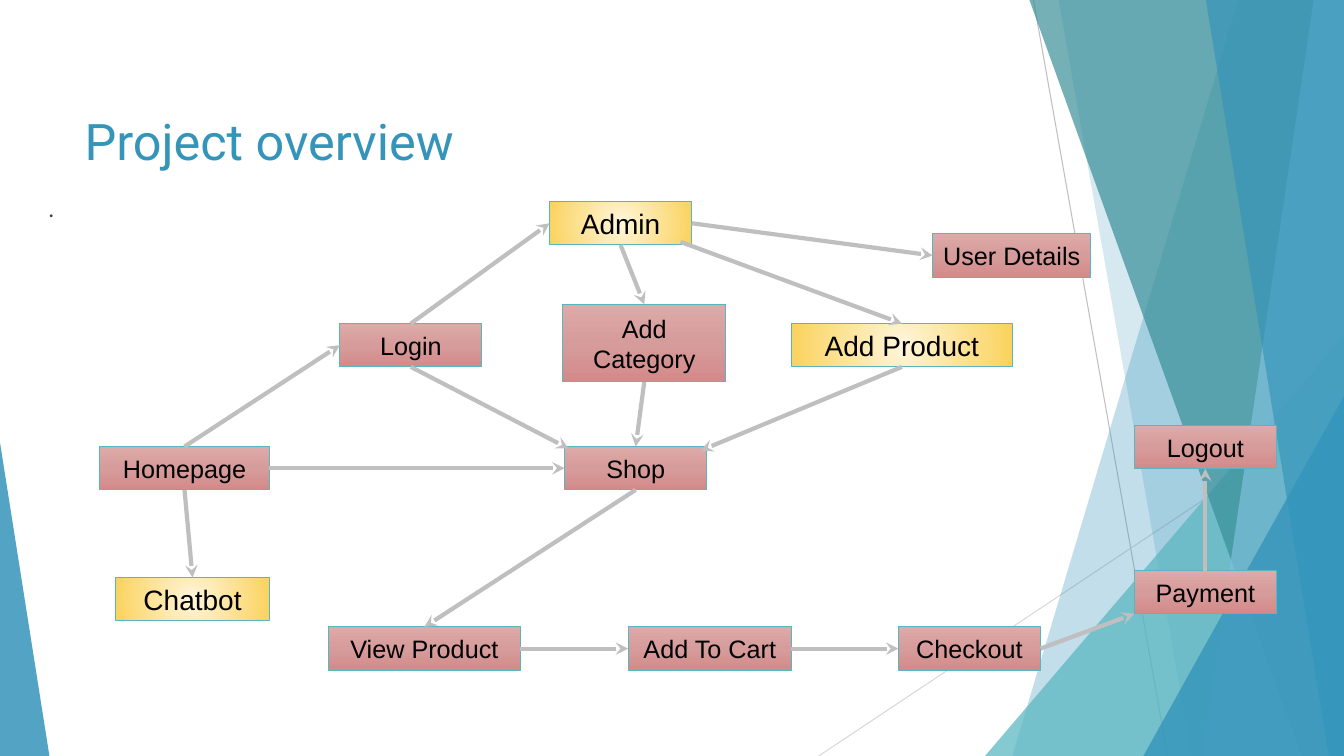
"""Build the project overview flow slide."""
import pptx
import pptx.dml.color
import pptx.enum.shapes
import pptx.enum.text
import pptx.oxml
import pptx.oxml.ns
import pptx.util
from pptx.util import Inches

COLORS = {
    "blue": "3494BA", "teal": "58B6C0", "deep": "398F98", "sky": "7EC0DB",
    "text": "000000", "body": "3F3F3F", "arrow": "BFBFBF", "pale": "D8D8D8",
}
GRADIENTS = {
    "page": ([(0, "DDAAA9"), (50, "D69C9B"), (100, "D38A89")],
             '<a:lin ang="5400000" scaled="0"/>'),
    "key": ([(0, "FFF6DB"), (100, "FAD25C")],
            '<a:path path="circle"><a:fillToRect l="50000" t="50000" r="50000" b="50000"/></a:path>'),
}
TOP, LEFT, BOTTOM, RIGHT = range(4)
H = 0.43
FACETS = [
    ([(12.28, 0), (13.33, 0), (13.33, 7.5), (10.04, 7.5)], "blue", 30),
    ([(10.5, 0), (13.33, 0), (13.33, 7.5), (11.82, 7.5)], "blue", 20),
    (((9.77, 3.33, 3.56, 4.17), 1), "teal", 72),
    ([(10.21, 0), (13.33, 0), (13.33, 7.5), (12.91, 7.5)], "deep", 70),
    ([(13.03, 0), (13.33, 0), (13.33, 7.5), (11.92, 7.5)], "sky", 70),
    ([(11.96, 0), (13.33, 0), (13.33, 7.5), (13.18, 7.5)], "blue", 65),
    (((11.34, 3.93, 1.99, 3.57), 1), "blue", 80),
    (((0, 4.39, 0.49, 3.11), 0), "blue", 85),
]
NODES = [
    ("Login", 3.37, 3.21, 1.41, H, "page"),
    ("Homepage", 0.99, 4.43, 1.68, H, "page"),
    ("Shop", 5.6, 4.43, 1.41, H, "page"),
    ("User Details", 9.25, 2.32, 1.57, H, "page"),
    ("View Product", 3.26, 6.22, 1.9, H, "page"),
    ("Payment", 11.25, 5.66, 1.41, H, "page"),
    ("Add To Cart", 6.23, 6.22, 1.62, H, "page"),
    ("Checkout", 8.91, 6.22, 1.41, H, "page"),
    ("Admin", 5.45, 2, 1.41, H, "key"),
    ("Add Category", 5.58, 3.02, 1.62, 0.77, "page"),
    ("Add Product", 7.85, 3.21, 2.19, H, "key"),
    ("Logout", 11.25, 4.22, 1.41, H, "page"),
    ("Chatbot", 1.15, 5.73, 1.52, H, "key"),
]
FLOWS = [
    (("Homepage", TOP), ("Login", LEFT)),
    (("Homepage", RIGHT), ("Shop", LEFT)),
    (("Login", TOP), ("Admin", LEFT)),
    (("Admin", BOTTOM), ("Add Category", TOP)),
    ((6.75, 2.4), ("Add Product", TOP)),
    (("Admin", RIGHT), ("User Details", LEFT)),
    (("Login", BOTTOM), (5.64, 4.45)),
    (("Add Category", BOTTOM), ("Shop", TOP)),
    (("Add Product", BOTTOM), (6.95, 4.47)),
    (("Shop", BOTTOM), ("View Product", TOP)),
    (("View Product", RIGHT), ("Add To Cart", LEFT)),
    (("Add To Cart", RIGHT), ("Checkout", LEFT)),
    (("Checkout", RIGHT), (11.25, 6.09)),
    (("Payment", TOP), ("Logout", BOTTOM)),
    (("Homepage", BOTTOM), ("Chatbot", TOP)),
]


def rgb(name):
    """Return a named colour."""
    return pptx.dml.color.RGBColor.from_string(COLORS[name])


def add_xml(parent, body):
    """Append a DrawingML element to a parent and return it."""
    ns = pptx.oxml.ns.nsdecls("a")
    tag, rest = body.split(" ", 1)
    el = pptx.oxml.parse_xml(f"<a:{tag} {ns} {rest}")
    parent.append(el)
    return el


def write(sp, text, size, font, color, align, anchor):
    """Put one formatted paragraph into a shape."""
    tf = sp.text_frame
    tf.word_wrap = True
    tf.vertical_anchor = anchor
    p = tf.paragraphs[0]
    p.alignment = align
    r = p.add_run()
    r.text = text
    fmt = {"size": pptx.util.Pt(size), "name": font}
    for key, value in fmt.items():
        setattr(r.font, key, value)
    r.font.color.rgb = rgb(color)


def add_text(s, text, box, size, color, anchor):
    """Add a left-aligned text box."""
    sp = s.shapes.add_textbox(*map(Inches, box))
    write(sp, text, size, "Roboto", color, pptx.enum.text.PP_ALIGN.LEFT, anchor)


def add_facet(s, outline, color, opacity):
    """Add a translucent triangle or polygon."""
    if isinstance(outline, tuple):
        box, apex = outline
        kind = pptx.enum.shapes.MSO_SHAPE.ISOSCELES_TRIANGLE
        sp = s.shapes.add_shape(kind, *map(Inches, box))
        sp.adjustments[0] = apex
    else:
        points = [(Inches(x), Inches(y)) for x, y in outline]
        fb = s.shapes.build_freeform(*points[0])
        fb.add_line_segments(points[1:], close=True)
        sp = fb.convert_to_shape()
    sp.shadow.inherit = False
    sp.line.fill.background()
    sp.fill.solid()
    sp.fill.fore_color.rgb = rgb(color)
    clr = sp._element.spPr.find(".//" + pptx.oxml.ns.qn("a:srgbClr"))
    add_xml(clr, f'alpha val="{opacity * 1000}"/>')


def add_node(s, text, x, y, w, h, kind):
    """Add a gradient box with a centred label."""
    rect = pptx.enum.shapes.MSO_SHAPE.RECTANGLE
    sp = s.shapes.add_shape(rect, *map(Inches, (x, y, w, h)))
    sp.shadow.inherit = False
    sp.line.color.rgb = rgb("teal")
    sp.line.width = pptx.util.Pt(0.75)
    sp.fill.solid()
    stops, shade = GRADIENTS[kind]
    gs = "".join(f'<a:gs pos="{pos * 1000}"><a:srgbClr val="{c}"/></a:gs>' for pos, c in stops)
    spPr = sp._element.spPr
    grad = add_xml(spPr, f'gradFill rotWithShape="1"><a:gsLst>{gs}</a:gsLst>{shade}</a:gradFill>')
    spPr.replace(spPr.find(pptx.oxml.ns.qn("a:solidFill")), grad)
    write(sp, text, 20 if kind == "key" else 18, "Arial", "text",
          pptx.enum.text.PP_ALIGN.CENTER, pptx.enum.text.MSO_ANCHOR.MIDDLE)
    return sp


def add_line(s, start, end, color, width):
    """Add a straight line between two points."""
    kind = pptx.enum.shapes.MSO_CONNECTOR.STRAIGHT
    line = s.shapes.add_connector(kind, *map(Inches, start + end))
    line.line.color.rgb = rgb(color)
    line.line.width = pptx.util.Pt(width)
    add_xml(line._element.spPr, "effectLst />")
    return line


def add_arrow(s, nodes, start, end):
    """Add an arrow whose ends are node sides or points."""
    points = [(0, 0) if end_[0] in nodes else end_ for end_ in (start, end)]
    line = add_line(s, *points, "arrow", 3)
    for (name, side), connect in zip((start, end), (line.begin_connect, line.end_connect)):
        if name in nodes:
            connect(nodes[name], side)
    add_xml(line.line._get_or_add_ln(), 'tailEnd type="stealth"/>')


def main():
    """Build and save the slide."""
    prs = pptx.Presentation()
    prs.slide_width, prs.slide_height = Inches(13.33), Inches(7.5)
    s = prs.slides.add_slide(prs.slide_layouts[6])
    add_line(s, (10.25, 0), (11.58, 7.5), "arrow", 0.75)
    add_line(s, (13.33, 4.03), (8.12, 7.5), "pale", 0.75)
    for facet in FACETS:
        add_facet(s, *facet)
    anchor = pptx.enum.text.MSO_ANCHOR
    add_text(s, "Project overview", (0.74, 0.67, 9.4, 1.44), 36, "blue", anchor.MIDDLE)
    add_text(s, ".", (0.38, 1.86, 12.58, 5.23), 18, "body", anchor.TOP)
    nodes = {node[0]: add_node(s, *node) for node in NODES}
    for start, end in FLOWS:
        add_arrow(s, nodes, start, end)
    prs.save("out.pptx")


if __name__ == "__main__":
    main()
